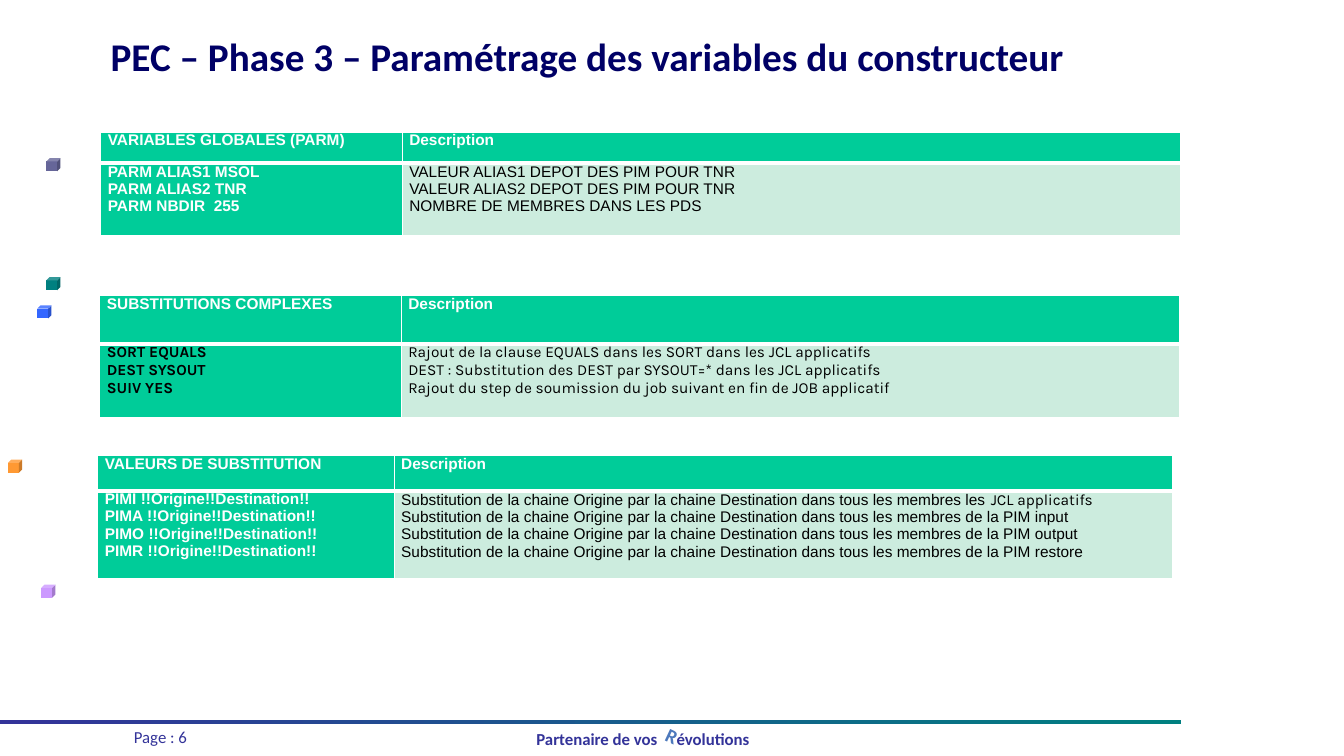
import dataclasses

import lxml.etree
import pptx
import pptx.dml.color
import pptx.enum.shapes
import pptx.enum.text
import pptx.oxml.ns
import pptx.util

Inches = pptx.util.Inches
Pt = pptx.util.Pt
ANCHOR = pptx.enum.text.MSO_ANCHOR
ALIGN = pptx.enum.text.PP_ALIGN
SHAPE = pptx.enum.shapes.MSO_SHAPE


@dataclasses.dataclass(frozen=True)
class Theme:
    heading_font: str = "Calibri"
    table_font: str = "Arial"
    accent_font: str = "Karla"
    title_size: int = 28
    initial_size: int = 14
    footer_size: int = 12
    table_size: int = 11
    navy: str = "000066"
    indigo: str = "333399"
    teal: str = "008080"
    initial: str = "4D79BC"
    green: str = "00CC99"
    pale_green: str = "CCECDE"
    white: str = "FFFFFF"
    black: str = "000000"


THEME = Theme()


def rgb(value):
    return pptx.dml.color.RGBColor.from_string(value)


def style_font(font, name, size, color, bold=False):
    font.name = name
    font.size = Pt(size)
    font.bold = bold
    font.color.rgb = rgb(color)


def add_text(slide, box, text, size, color, bold=False, align=ALIGN.LEFT,
             anchor=ANCHOR.TOP, insets=(0.1, 0.05, 0.1, 0.05)):
    shape = slide.shapes.add_textbox(*map(Inches, box))
    frame = shape.text_frame
    frame.word_wrap = True
    frame.vertical_anchor = anchor
    (frame.margin_left, frame.margin_top,
     frame.margin_right, frame.margin_bottom) = map(Inches, insets)
    paragraph = frame.paragraphs[0]
    paragraph.text = text
    paragraph.alignment = align
    style_font(paragraph.font, THEME.heading_font, size, color, bold)
    return shape


def add_cubes(slide, left, top):
    """Place the coloured cubes of the left margin."""
    cubes = [(0.38, 1.18, THEME.teal), (0.29, 1.46, "3366FF"), (0, 2.99, "FF9933"),
             (0.38, 0, "666699"), (0.33, 4.23, "CC99FF")]
    for across, down, color in cubes:
        cube = slide.shapes.add_shape(SHAPE.CUBE, Inches(left + across), Inches(top + down),
                                      Inches(0.14), Inches(0.13))
        cube.shadow.inherit = False
        cube.fill.solid()
        cube.fill.fore_color.rgb = rgb(color)
        cube.line.fill.background()


def add_footer(slide, left, top, width):
    # Gradient rule
    rule = slide.shapes.add_shape(SHAPE.RECTANGLE, Inches(left), Inches(top),
                                  Inches(width), Inches(0.04))
    rule.shadow.inherit = False
    rule.line.fill.background()
    rule.fill.gradient()
    rule.fill.gradient_angle = 0
    for stop, color in zip(rule.fill.gradient_stops, (THEME.indigo, THEME.teal)):
        stop.color.rgb = rgb(color)

    # Page number
    add_text(slide, (left + 1.23, top + 0.02, 1.36, 0.29), "Page : 6",
             THEME.footer_size, THEME.indigo)

    # Slogan, with a tab that leaves room for the tilted initial
    slogan = add_text(slide, (left + 5.32, top + 0.04, 2.5, 0.27),
                      "Partenaire de vos\tévolutions", THEME.footer_size, THEME.indigo,
                      bold=True, insets=(0, 0.05, 0, 0.05))
    properties = slogan.text_frame.paragraphs[0]._p.get_or_add_pPr()
    tabs = lxml.etree.Element(pptx.oxml.ns.qn("a:tabLst"))
    lxml.etree.SubElement(tabs, pptx.oxml.ns.qn("a:tab"), pos=str(Inches(1.39)), algn="l")
    properties.insert(0, tabs)
    initial = add_text(slide, (left + 6.56, top + 0.04, 0.21, 0.24), "R",
                       THEME.initial_size, THEME.initial, bold=True,
                       align=ALIGN.CENTER, insets=(0, 0, 0, 0))
    initial.rotation = 24.9


def set_borders(cell, bottom):
    properties = cell._tc.get_or_add_tcPr()
    widths = {"lnL": 1, "lnR": 1, "lnT": 1, "lnB": bottom}
    for position, (side, width) in enumerate(widths.items()):
        line = lxml.etree.Element(pptx.oxml.ns.qn("a:" + side), w=str(Pt(width)))
        fill = lxml.etree.SubElement(line, pptx.oxml.ns.qn("a:solidFill"))
        lxml.etree.SubElement(fill, pptx.oxml.ns.qn("a:srgbClr"), val=THEME.white)
        properties.insert(position, line)


def fill_cell(cell, lines, fill, color, font, bold, bottom=1):
    """Write one paragraph per line; a tuple line holds (text, font) runs."""
    cell.margin_left = cell.margin_right = Inches(0.07)
    cell.margin_top = cell.margin_bottom = 0
    cell.fill.solid()
    cell.fill.fore_color.rgb = rgb(fill)
    set_borders(cell, bottom)
    frame = cell.text_frame
    for index, line in enumerate(lines):
        paragraph = frame.add_paragraph() if index else frame.paragraphs[0]
        style_font(paragraph.font, font, THEME.table_size, color, bold)
        if isinstance(line, str):
            paragraph.text = line
            continue
        for text, run_font in line:
            run = paragraph.add_run()
            run.text = text
            run.font.name = run_font


def add_variable_table(slide, left, top, name_width, row_heights, heading, names,
                       descriptions, font=THEME.table_font, name_color=THEME.white):
    widths = (name_width, 7.72)
    frame = slide.shapes.add_table(2, 2, Inches(left), Inches(top),
                                   Inches(sum(widths)), Inches(sum(row_heights)))
    table = frame.table
    table.first_row = table.horz_banding = False
    for column, width in zip(table.columns, widths):
        column.width = Inches(width)
    for row, height in zip(table.rows, row_heights):
        row.height = Inches(height)
    for column, text in enumerate((heading, "Description")):
        fill_cell(table.cell(0, column), [text], THEME.green, THEME.white,
                  THEME.table_font, True, bottom=3)
    fill_cell(table.cell(1, 0), names, THEME.green, name_color, font, True)
    fill_cell(table.cell(1, 1), descriptions, THEME.pale_green, THEME.black, font, False)


def build_variables_slide(presentation):
    slide = presentation.slides.add_slide(presentation.slide_layouts[6])
    add_cubes(slide, 0.08, 1.57)
    add_footer(slide, 0, 7.14, 11.71)
    add_text(slide, (1, 0.11, 12.3, 0.68),
             "PEC – Phase 3 – Paramétrage des variables du constructeur",
             THEME.title_size, THEME.navy, bold=True, anchor=ANCHOR.BOTTOM,
             insets=(0.1, 0, 0.1, 0))

    # Global variables
    add_variable_table(
        slide, 1, 1.31, 2.99, (0.31, 0.72), "VARIABLES GLOBALES (PARM)",
        ["PARM ALIAS1 MSOL", "PARM ALIAS2 TNR", "PARM NBDIR  255"],
        [f"VALEUR ALIAS{number} DEPOT DES PIM POUR TNR" for number in (1, 2)]
        + ["NOMBRE DE MEMBRES DANS LES PDS"])

    # Complex substitutions
    add_variable_table(
        slide, 0.99, 2.93, 2.99, (0.48, 0.73), "SUBSTITUTIONS COMPLEXES",
        ["SORT EQUALS", "DEST SYSOUT", "SUIV YES"],
        ["Rajout de la clause EQUALS dans les SORT dans les JCL applicatifs",
         "DEST\u00a0: Substitution des DEST par SYSOUT=* dans les JCL applicatifs",
         "Rajout du step de soumission du job suivant en fin de JOB applicatif"],
        font=THEME.accent_font, name_color=THEME.black)

    # Substitution values
    substitution = ("Substitution de la chaine Origine par la chaine Destination "
                    "dans tous les membres ")
    add_variable_table(
        slide, 0.97, 4.52, 2.94, (0.35, 0.87), "VALEURS DE SUBSTITUTION",
        [f"PIM{letter} !!Origine!!Destination!!" for letter in "IAOR"],
        [((substitution + "les ", THEME.table_font), ("JCL applicatifs", THEME.accent_font))]
        + [f"{substitution}de la PIM {target}" for target in ("input", "output", "restore")])


presentation = pptx.Presentation()
presentation.slide_width = Inches(13.33)
presentation.slide_height = Inches(7.5)
build_variables_slide(presentation)
presentation.save("out.pptx")
